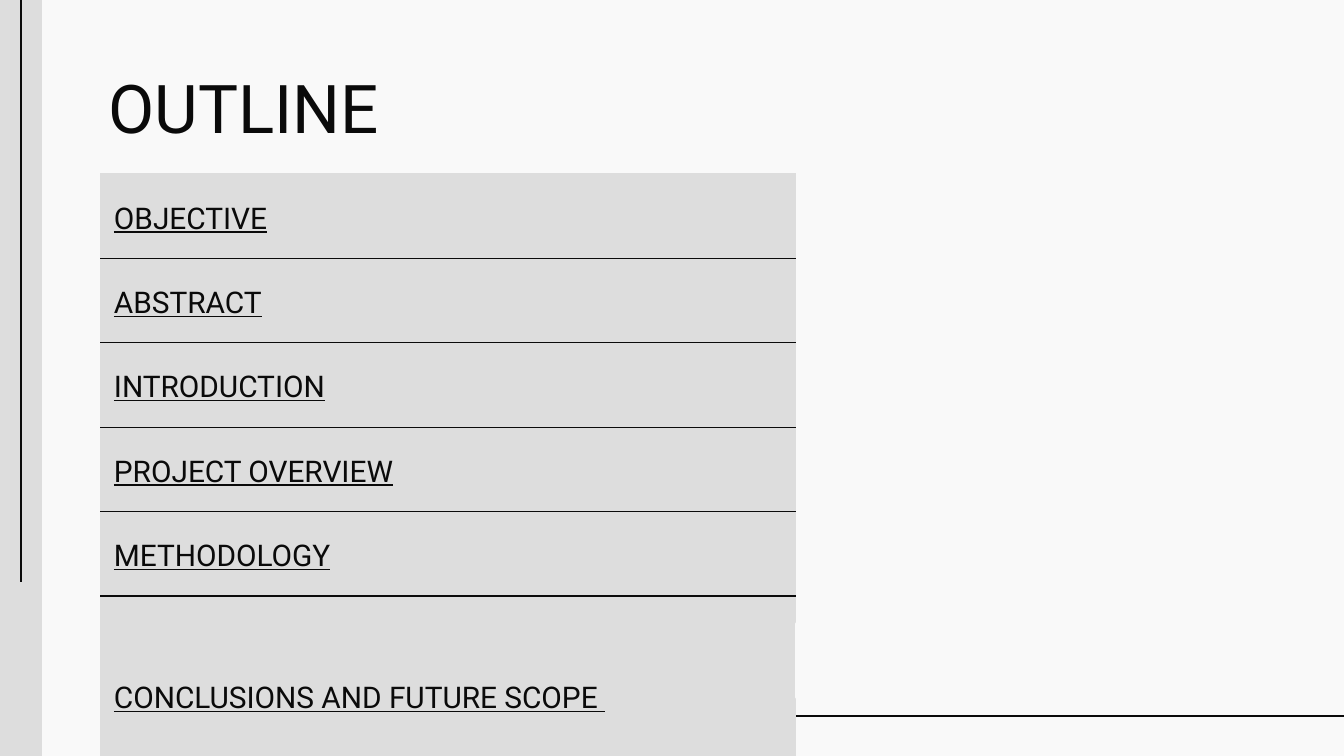
from pptx import Presentation
from pptx.dml.color import RGBColor
from pptx.enum.shapes import MSO_CONNECTOR as Connector, MSO_SHAPE as Shape
from pptx.enum.text import MSO_ANCHOR as Anchor, PP_ALIGN as Align
from pptx.oxml.ns import qn
from pptx.util import Pt
from lxml.etree import SubElement

SCALE = 914400 / 134.4
INK = RGBColor(0x0A, 0x0A, 0x0A)
GRAY = RGBColor(0xDD, 0xDD, 0xDD)
PAPER = RGBColor(0xF9, 0xF9, 0xF9)
TOPICS = ["OBJECTIVE", "ABSTRACT", "INTRODUCTION", "PROJECT OVERVIEW",
          "METHODOLOGY", "CONCLUSIONS AND FUTURE SCOPE "]


def px(length):
    """Turn pixels into EMU."""
    return round(length * SCALE)


def write(frame, text, size, align=Align.LEFT, underline=None, spacing=None):
    """Write one formatted paragraph into a text frame."""
    paragraph = frame.paragraphs[0]
    paragraph.alignment = align
    paragraph.line_spacing = spacing
    run = paragraph.add_run()
    run.text = text
    run.font.name = "Roboto"
    run.font.size = Pt(size)
    run.font.underline = underline
    run.font.color.rgb = INK


class OutlineSlide:
    """Holds the style and the current slide."""

    def __init__(self, presentation):
        """Add a blank slide with the paper background."""
        self.line_width = Pt(0.75)
        self.slide = presentation.slides.add_slide(presentation.slide_layouts[6])
        fill = self.slide.background.fill
        fill.solid()
        fill.fore_color.rgb = PAPER

    def rectangle(self, left, top, width, height, color, outline=None):
        """Add a filled rectangle, outlined when a width is given."""
        shape = self.slide.shapes.add_shape(
            Shape.RECTANGLE, px(left), px(top), px(width), px(height))
        shape.shadow.inherit = False
        shape.fill.solid()
        shape.fill.fore_color.rgb = color
        if outline:
            shape.line.color.rgb = color
            shape.line.width = Pt(outline)
        else:
            shape.line.fill.background()

    def line(self, x1, y1, x2, y2):
        """Add a thin straight line."""
        line = self.slide.shapes.add_connector(
            Connector.STRAIGHT, px(x1), px(y1), px(x2), px(y2))
        line.line.color.rgb = INK
        line.line.width = self.line_width
        SubElement(line._element.spPr, qn("a:effectLst"))

    def title(self, text, left, top, width, height):
        """Add the centred title."""
        frame = self.slide.shapes.add_textbox(
            px(left), px(top), px(width), px(height)).text_frame
        frame.word_wrap = True
        frame.vertical_anchor = Anchor.MIDDLE
        frame.margin_left = frame.margin_right = px(13)
        frame.margin_top = frame.margin_bottom = px(13)
        write(frame, text, 36, align=Align.CENTER)

    def borders(self, cell, **colors):
        """Set the four cell borders; a side without a colour is hidden."""
        properties = cell._tc.get_or_add_tcPr()
        for side in ("L", "R", "T", "B"):
            border = SubElement(properties, qn(f"a:ln{side}"), w=str(self.line_width))
            color = colors.get(side)
            if color is None:
                SubElement(border, qn("a:noFill"))
            else:
                fill = SubElement(border, qn("a:solidFill"))
                SubElement(fill, qn("a:srgbClr"), val=str(color))

    def topic_table(self, topics, left, top, widths, heights):
        """Add the topic list with an empty merged column beside it."""
        table = self.slide.shapes.add_table(
            len(topics), len(widths), px(left), px(top),
            px(sum(widths)), px(sum(heights))).table
        table.first_row = table.horz_banding = False
        for column, width in zip(table.columns, widths):
            column.width = px(width)
        last = len(topics) - 1
        for index, (topic, height) in enumerate(zip(topics, heights)):
            table.rows[index].height = px(height)
            cell, side = table.cell(index, 0), table.cell(index, 1)
            self.borders(cell, L=GRAY, R=GRAY, T=INK if index else GRAY,
                         B=INK if index < last else GRAY)
            cell.fill.solid()
            cell.fill.fore_color.rgb = GRAY
            cell.vertical_anchor = Anchor.MIDDLE
            cell.margin_left = cell.margin_right = px(13)
            cell.margin_top = cell.margin_bottom = 0
            write(cell.text_frame, topic, 16, underline=True, spacing=1.15)
            self.borders(side, L=GRAY)
            side.fill.background()
        table.cell(0, 1).merge(table.cell(last, 1))


def main():
    """Build and save the outline slide."""
    presentation = Presentation()
    presentation.slide_width, presentation.slide_height = px(1344), px(756)
    outline = OutlineSlide(presentation)
    outline.rectangle(0, 0, 42, 756, GRAY)
    outline.line(672, 716, 1344, 716)
    outline.line(21, 582, 21, 0)
    outline.title("OUTLINE", 62, 55, 364, 103)
    heights = [84.4] * 5 + [200]
    outline.topic_table(TOPICS, 101, 174, [694, 538], heights)
    outline.rectangle(797, 624, 536, 73, PAPER, outline=2)
    presentation.save("out.pptx")


if __name__ == "__main__":
    main()
